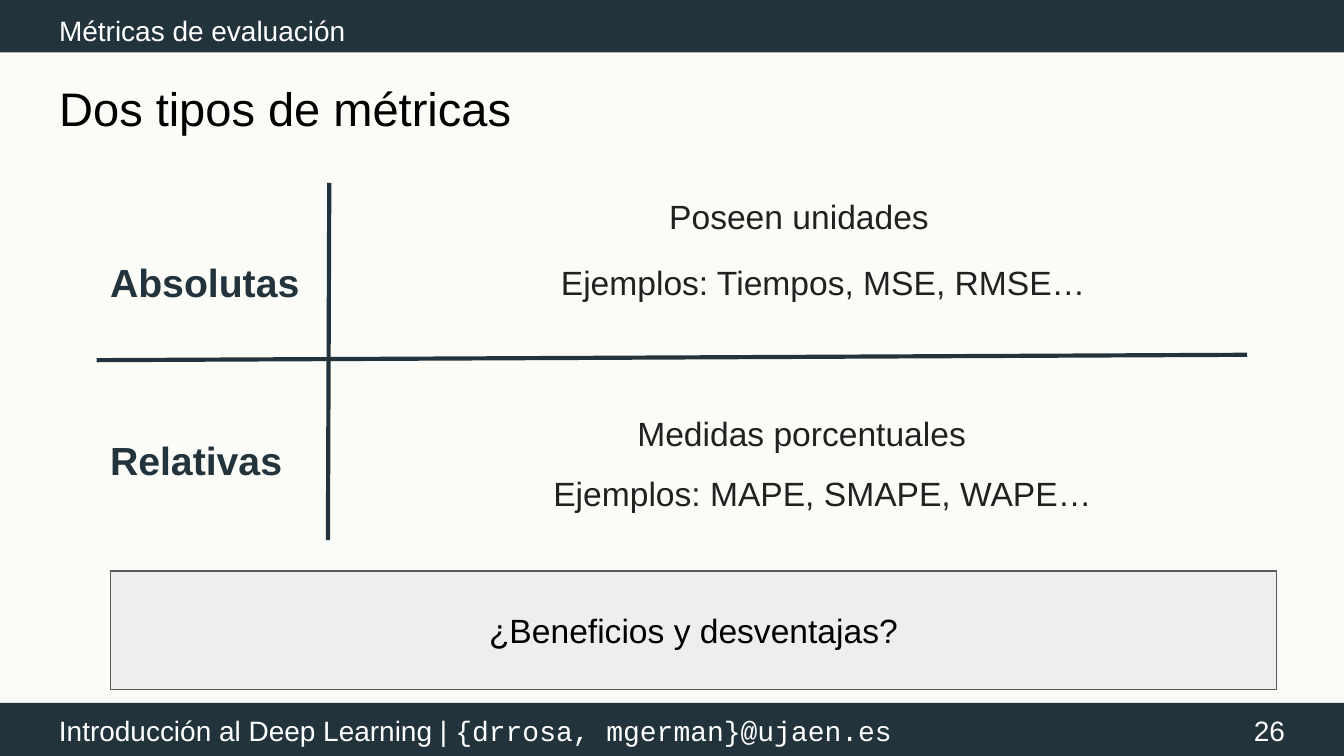
from pptx import Presentation
from pptx.dml.color import RGBColor
from pptx.enum.shapes import MSO_CONNECTOR as CONNECTOR, MSO_SHAPE as SHAPE
from pptx.enum.text import MSO_ANCHOR as ANCHOR, MSO_AUTO_SIZE as AUTO_SIZE, PP_ALIGN as ALIGN
from pptx.oxml.ns import qn
from pptx.util import Inches, Pt

NAVY = RGBColor(0x23, 0x33, 0x3C)
WHITE = RGBColor(0xFF, 0xFF, 0xFF)
BLACK = RGBColor(0x00, 0x00, 0x00)
INK = RGBColor(0x21, 0x21, 0x21)
IVORY = RGBColor(0xFB, 0xFC, 0xF7)
PALE_GRAY = RGBColor(0xEE, 0xEE, 0xEE)
GRAY = RGBColor(0x59, 0x59, 0x59)


def write(shape, *texts, fonts=("Arial",), size=18, color=INK, bold=False,
          align=ALIGN.LEFT, anchor=ANCHOR.TOP, line_spacing=1.0):
    """Fill the shape with one paragraph, one run for each text and its font."""
    frame = shape.text_frame
    frame.word_wrap = True
    frame.auto_size = AUTO_SIZE.NONE
    frame.vertical_anchor = anchor
    frame.margin_left = frame.margin_right = Inches(0.1)
    frame.margin_top = frame.margin_bottom = Inches(0.1)
    paragraph = frame.paragraphs[0]
    paragraph.alignment = align
    paragraph.line_spacing = line_spacing
    paragraph.space_before = Pt(0)
    for text, font in zip(texts, fonts):
        run = paragraph.add_run()
        run.text = text
        run.font.name = font
        run.font.size = Pt(size)
        run.font.bold = bold
        run.font.color.rgb = color


def add_panel(left, top, width, height, fill):
    panel = slide.shapes.add_shape(
        SHAPE.RECTANGLE, Inches(left), Inches(top), Inches(width), Inches(height))
    panel.shadow.inherit = False
    panel.fill.solid()
    panel.fill.fore_color.rgb = fill
    panel.line.fill.background()
    return panel


prs = Presentation()
prs.slide_width = Inches(10)
prs.slide_height = prs.slide_width * 9 // 16
slide = prs.slides.add_slide(prs.slide_layouts[0])
slide.background.fill.solid()
slide.background.fill.fore_color.rgb = IVORY
title, section = slide.placeholders

# Header and footer bars lie behind the placeholders
for top in (5.23, -0.02):
    bar = add_panel(-0.02, top, 10.04, 0.41, NAVY)
    title.element.addprevious(bar.element)

title.left, title.top, title.width, title.height = map(Inches, (0.34, 0.49, 9.32, 0.63))
write(title, "Dos tipos de métricas", size=25.2, color=BLACK)
section.left, section.top, section.width, section.height = map(
    Inches, (0.34, -0.04, 8.07, 0.45))
write(section, "Métricas de evaluación", size=15, color=WHITE, line_spacing=1.15)

footer = slide.shapes.add_textbox(Inches(0.34), Inches(5.21), Inches(6.45), Inches(0.71))
write(footer, "Introducción al Deep Learning | ", "{drrosa, mgerman}@ujaen.es",
      fonts=("Arial", "Courier New"), size=15, color=WHITE)
page_number = slide.shapes.add_textbox(Inches(9.06), Inches(5.22), Inches(0.6), Inches(0.43))
write(page_number, "26", size=15, color=WHITE, align=ALIGN.RIGHT, anchor=ANCHOR.MIDDLE)

# Cross that separates the two kinds of metric
for x1, y1, x2, y2 in ((0.72, 2.68, 9.28, 2.64), (2.45, 1.36, 2.44, 4.02)):
    divider = slide.shapes.add_connector(
        CONNECTOR.STRAIGHT, Inches(x1), Inches(y1), Inches(x2), Inches(y2))
    divider.line.color.rgb = NAVY
    divider.line.width = Pt(2.25)
    properties = divider.element.spPr
    properties.append(properties.makeelement(qn("a:effectLst"), {}))

for top, kind in ((1.82, "Absolutas"), (3.15, "Relativas")):
    heading = slide.shapes.add_textbox(Inches(0.72), Inches(top), Inches(1.62), Inches(0.56))
    write(heading, kind, size=21, color=NAVY, bold=True)

for left, top, width, text in (
    (2.6, 1.36, 6.69, "Poseen unidades"),
    (2.53, 1.85, 7.19, "Ejemplos: Tiempos, MSE, RMSE…"),
    (2.42, 2.97, 7.09, "Medidas porcentuales"),
    (2.42, 3.42, 7.4, "Ejemplos: MAPE, SMAPE, WAPE…"),
):
    description = slide.shapes.add_textbox(
        Inches(left), Inches(top), Inches(width), Inches(0.5))
    write(description, text, align=ALIGN.CENTER)

question = add_panel(0.82, 4.25, 8.68, 0.88, PALE_GRAY)
question.line.color.rgb = GRAY
question.line.width = Pt(0.75)
write(question, "¿Beneficios y desventajas?", color=BLACK,
      align=ALIGN.CENTER, anchor=ANCHOR.MIDDLE)

prs.save("out.pptx")
